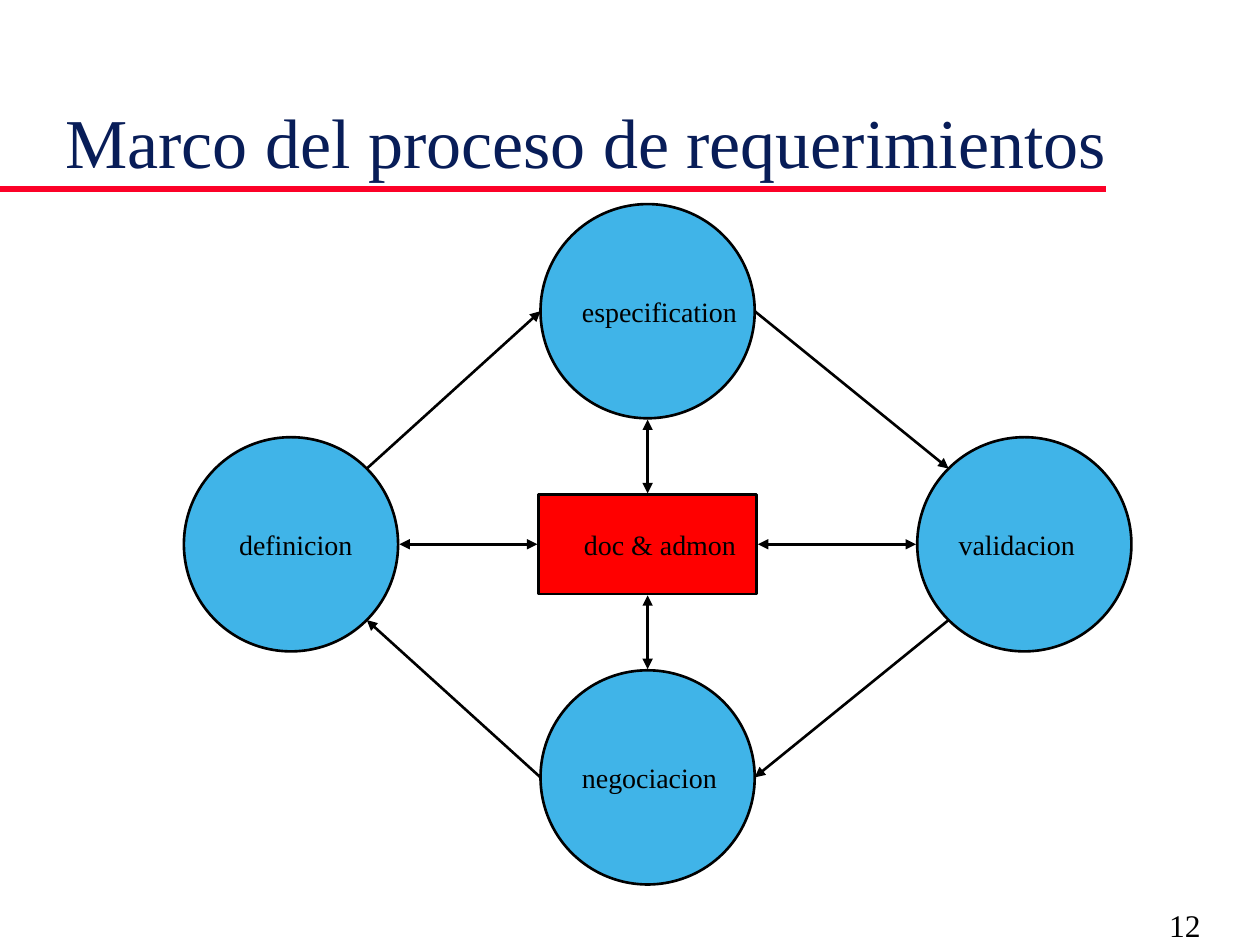
from math import cos, radians, sin

from lxml import etree
from pptx import Presentation
from pptx import util as u
from pptx.dml.color import RGBColor
from pptx.enum import shapes, text
from pptx.oxml.ns import qn

BLACK = RGBColor(0x00, 0x00, 0x00)
NAVY = RGBColor(0x08, 0x1D, 0x58)
SKY = RGBColor(0x40, 0xB4, 0xE8)
RED = RGBColor(0xFF, 0x00, 0x00)
ROSE = RGBColor(0xFC, 0x01, 0x28)

# Grid of 10 columns by 7.5 rows, each cell one inch square
COLS, ROWS = 10, 7.5
RAD = 0.85
GAP = 0.01
BOX_W, BOX_H = 1.73, 0.79
MID_X, MID_Y = 5.14, 4.32
RISE = 1.85
HANG = 0.2

# Stage: centre x, centre y, extra text indent
STAGES = {
    "definicion": (2.31, MID_Y, 0.11),
    "negociacion": (MID_X, MID_Y + RISE, 0),
    "especification": (MID_X, MID_Y - RISE, 0),
    "validacion": (8.13, MID_Y, 0),
}

# Flow between stages: start, its angle, end, its angle (0 is right, 90 is down)
FLOWS = [
    ("definicion", -45, "especification", 180),
    ("especification", 0, "validacion", -135),
    ("negociacion", 180, "definicion", 45),
    ("validacion", 135, "negociacion", 0),
]


def rim(name, angle, gap=0.0):
    """Point on the edge of a stage's circle at the given angle."""
    x, y, _ = STAGES[name]
    turn = radians(angle)
    return x + (RAD + gap) * cos(turn), y + (RAD + gap) * sin(turn)


class Deck:
    """Holds the style and the current slide."""

    font = "Times New Roman"

    def __init__(self):
        self.prs = Presentation()
        self.prs.slide_width = u.Inches(COLS)
        self.prs.slide_height = u.Inches(ROWS)
        self.slide = self.prs.slides.add_slide(self.prs.slide_layouts[5])

    def cells(self, *sizes):
        return [int(self.prs.slide_width * s / COLS) for s in sizes]

    def style(self, frame, words, size, color):
        frame.text = words
        para = frame.paragraphs[0]
        para.alignment = text.PP_ALIGN.LEFT
        font = para.runs[0].font
        font.name, font.size = self.font, u.Pt(size)
        font.color.rgb = color
        return para

    def title(self, words, *place):
        head = self.slide.shapes.title
        head.left, head.top, head.width, head.height = self.cells(*place)
        frame = head.text_frame
        frame.auto_size = text.MSO_AUTO_SIZE.NONE
        frame.vertical_anchor = text.MSO_ANCHOR.BOTTOM
        self.style(frame, words, 40, NAVY)

    def label(self, words, *place):
        box = self.slide.shapes.add_textbox(*self.cells(*place))
        box.text_frame.word_wrap = True
        self.style(box.text_frame, words, 18, BLACK)

    def node(self, kind, words, x, y, wide, high, fill, pad):
        """Shape centred on x, y, with its text indented by pad."""
        place = self.cells(x - wide / 2, y - high / 2, wide, high)
        node = self.slide.shapes.add_shape(kind, *place)
        node.shadow.inherit = False
        node.fill.solid()
        node.fill.fore_color.rgb = fill
        node.line.color.rgb = BLACK
        node.line.width = u.Pt(1.5)
        frame = node.text_frame
        frame.word_wrap = False
        frame.vertical_anchor = text.MSO_ANCHOR.MIDDLE
        frame.margin_left = frame.margin_right = u.Inches(0.08)
        frame.margin_top = frame.margin_bottom = u.Inches(0.08)
        props = self.style(frame, words, 16, BLACK)._p.get_or_add_pPr()
        left, hang = self.cells(HANG + pad, -HANG)
        props.set("marL", str(left))
        props.set("indent", str(hang))

    def line(self, start, end, color=BLACK, width=1.5, ends=()):
        """Straight line; ends names the arrowheads, headEnd before tailEnd."""
        line = self.slide.shapes.add_connector(
            shapes.MSO_CONNECTOR.STRAIGHT, *self.cells(*start, *end))
        line.line.color.rgb = color
        line.line.width = u.Pt(width)
        stroke = line.line._get_or_add_ln()
        for tip in ends:
            etree.SubElement(stroke, qn(f"a:{tip}"), type="triangle")
        etree.SubElement(line._element.spPr, qn("a:effectLst"))


def main():
    deck = Deck()
    deck.line((0, 1.5), (8.78, 1.5), ROSE, 4)
    deck.label("12", 9.18, 7.14, 0.79, 0.24)
    deck.title("Marco del proceso de requerimientos", 0.42, 0.29, 8.5, 1.21)

    for name, (x, y, pad) in STAGES.items():
        deck.node(shapes.MSO_SHAPE.OVAL, name, x, y, 2 * RAD, 2 * RAD, SKY, pad)
    deck.node(shapes.MSO_SHAPE.RECTANGLE, "doc & admon",
              MID_X, MID_Y, BOX_W, BOX_H, RED, 0.28)

    for start, out, end, into in FLOWS:
        deck.line(rim(start, out), rim(end, into), ends=["tailEnd"])

    dx, dy = BOX_W / 2 + GAP, BOX_H / 2 + GAP
    both = ["headEnd", "tailEnd"]
    deck.line(rim("especification", 90, GAP), (MID_X, MID_Y - dy), ends=both)
    deck.line((MID_X, MID_Y + dy), rim("negociacion", -90, GAP), ends=both)
    deck.line(rim("definicion", 0, GAP), (MID_X - dx, MID_Y), ends=both)
    deck.line((MID_X + dx, MID_Y), rim("validacion", 180, GAP), ends=both)

    deck.prs.save("out.pptx")


if __name__ == "__main__":
    main()
